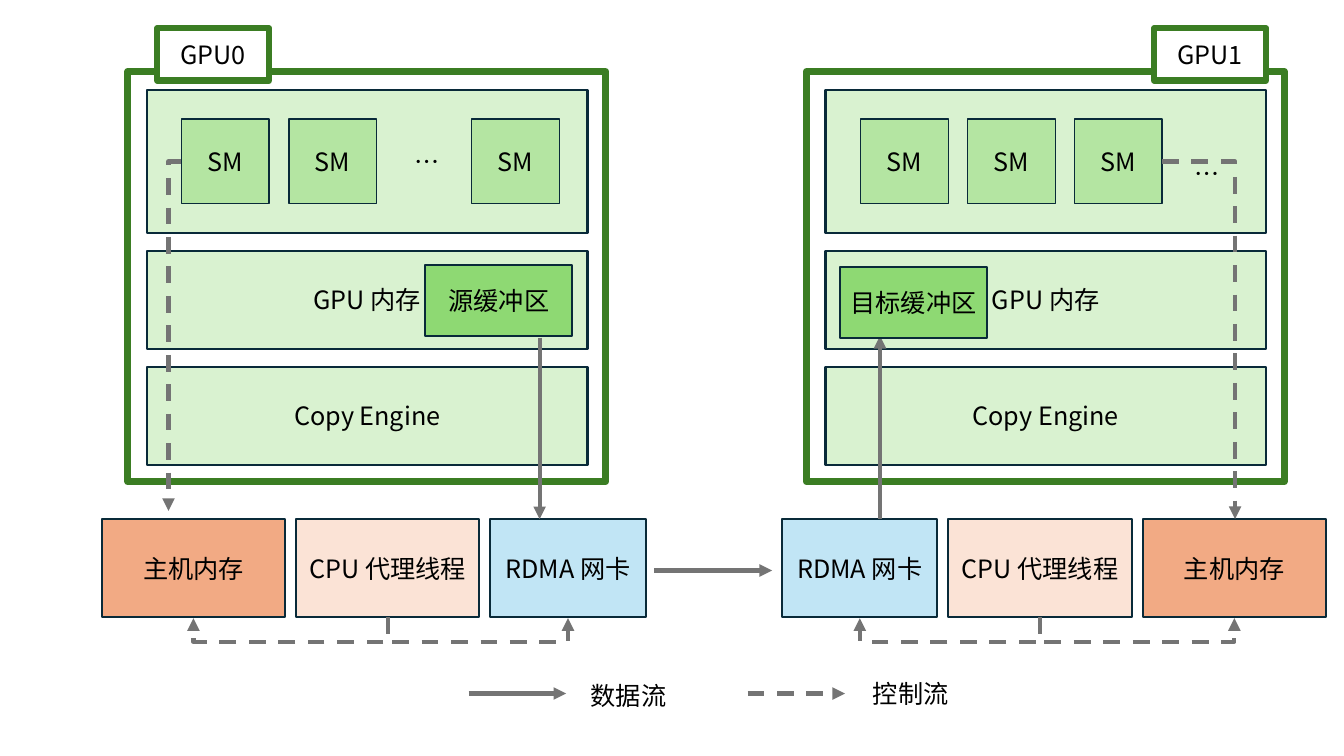
from lxml import etree
from pptx import Presentation
from pptx.dml.color import RGBColor
from pptx.enum.dml import MSO_LINE
from pptx.enum.shapes import MSO_CONNECTOR, MSO_SHAPE
from pptx.enum.text import MSO_ANCHOR, PP_ALIGN
from pptx.oxml.ns import qn
from pptx.util import Pt

RECT = MSO_SHAPE.RECTANGLE
STRAIGHT, ELBOW = MSO_CONNECTOR.STRAIGHT, MSO_CONNECTOR.ELBOW
DASH = MSO_LINE.DASH
MIDDLE = MSO_ANCHOR.MIDDLE
LEFT, CENTER = PP_ALIGN.LEFT, PP_ALIGN.CENTER

THEME = {
    "font": "Noto Sans CJK SC", "size": 18, "text": "000000",
    "edge": "092A39", "frame": "3B7D23", "wire": "747474",
    "tag": "FFFFFF", "panel": "D9F2D0", "sm": "B4E5A2", "buffer": "8ED973",
    "host": "F2AA84", "proxy": "FBE3D6", "card": "C1E5F5",
}

# frame left, tag left, SM lefts, (dots left, top), buffer (label, left, top)
GPUS = [
    {"name": "GPU0", "left": 91.4, "tag": 112.3, "sms": [129.6, 206.4, 337],
     "dots": (282.2, 85), "buffer": ("源缓冲区", 303.8, 189.4)},
    {"name": "GPU1", "left": 576, "tag": 824.4, "sms": [614.9, 691.2, 767.5],
     "dots": (839.5, 93.6), "buffer": ("目标缓冲区", 600, 190.8)},
]
# label, top, height
PANELS = [("", 64.1, 102.2), ("GPU 内存", 179.3, 69.8),
          ("Copy Engine", 262.1, 69.8)]
# label, width, fill
HOST = ("主机内存", 131, "host")
PROXY = ("CPU 代理线程", 131, "proxy")
CARD = ("RDMA 网卡", 110.9, "card")
ROWS = [(72.7, [HOST, PROXY, CARD]), (558.7, [CARD, PROXY, HOST])]
ROW_TOP, ROW_H, ROW_GAP = 370.8, 69.8, 7.8
# start x, y, end x, y
DATA = [(385.5, 241.2, 385.5, ROW_TOP), (467.5, 407.5, 551.5, 407.5),
        (628.6, ROW_TOP, 628.6, 240)]
CONTROL = [(129.6, 115.4, 120.4, 365), (830, 115.4, 882.2, ROW_TOP)]
# arrow left, dashed, label, label left, label top
LEGEND = [(334.8, False, "数据流", 421.9, 482.4),
          (534, True, "控制流", 623.5, 481)]

prs = Presentation()
prs.slide_width, prs.slide_height = Pt(960), Pt(540)
slide = prs.slides.add_slide(prs.slide_layouts[6])
shapes = slide.shapes


def color(key):
    return RGBColor.from_string(THEME[key])


def write(shape, text, align=CENTER, wrap=True):
    frame = shape.text_frame
    frame.text = text
    frame.word_wrap = wrap
    frame.vertical_anchor = MIDDLE
    frame.margin_left = frame.margin_right = 0
    para = frame.paragraphs[0]
    para.alignment = align
    for run in para.runs:
        font = run.font
        font.name, font.size = THEME["font"], Pt(THEME["size"])
        font.color.rgb = color("text")
        east = etree.SubElement(run._r.get_or_add_rPr(), qn("a:ea"))
        east.set("typeface", THEME["font"])


def box(x, y, w, h, text="", fill=None, edge="edge", weight=1.5):
    shape = shapes.add_shape(RECT, Pt(x), Pt(y), Pt(w), Pt(h))
    shape.shadow.inherit = False
    if fill:
        shape.fill.solid()
        shape.fill.fore_color.rgb = color(fill)
    else:
        shape.fill.background()
    shape.line.color.rgb = color(edge)
    shape.line.width = Pt(weight)
    if text:
        write(shape, text)


def label(x, y, w, h, text, align=CENTER, wrap=True):
    write(shapes.add_textbox(Pt(x), Pt(y), Pt(w), Pt(h)), text, align, wrap)


def wire(x1, y1, x2, y2, kind=STRAIGHT, dashed=False):
    line = shapes.add_connector(kind, Pt(x1), Pt(y1), Pt(x2), Pt(y2))
    line.line.color.rgb = color("wire")
    line.line.width = Pt(3)
    if dashed:
        line.line.dash_style = DASH
    tail = etree.SubElement(line.line._get_or_add_ln(), qn("a:tailEnd"))
    tail.set("type", "triangle")
    etree.SubElement(line._element.spPr, qn("a:effectLst"))
    return line


def corner(x1, y1, x2, y2):
    """Dashed arrow that goes sideways, then down."""
    line = wire(x1, y1, x2, y2, ELBOW, True)
    line._element.spPr.find(qn("a:prstGeom")).set("prst", "bentConnector2")


def loop(x1, x2, y, drop=18):
    """Dashed arrow that dips below y and comes back up at x2."""
    mid, span = (x1 + x2) / 2, abs(x2 - x1)
    top = y + 0.5 - span / 2
    line = wire(mid - 0.5, top, mid + 0.5, top + span, ELBOW, True)
    props = line._element.spPr
    turn = props.find(qn("a:xfrm"))
    turn.set("rot", str((270 if x2 > x1 else 90) * 60000))
    if x2 > x1:
        turn.set("flipH", "1")
    shape = props.find(qn("a:prstGeom"))
    guides = shape.find(qn("a:avLst"))
    if guides is None:
        guides = etree.SubElement(shape, qn("a:avLst"))
    guide = etree.SubElement(guides, qn("a:gd"))
    guide.set("name", "adj1")
    guide.set("fmla", f"val {drop * 100000}")


for gpu in GPUS:
    box(gpu["left"], 51.1, 341.3, 293, edge="frame", weight=5)
    for text, top, height in PANELS:
        box(gpu["left"] + 13.7, top, 314.6, height, text, "panel")
    for left in gpu["sms"]:
        box(left, 85, 62.6, 60.5, "SM", "sm", weight=1)
    label(*gpu["dots"], 45.4, 60.5, "…")
    box(gpu["tag"], 20.2, 79.9, 37.4, gpu["name"], "tag", "frame", 4.5)

for left, parts in ROWS:
    mids = []
    for text, width, fill in parts:
        box(left, ROW_TOP, width, ROW_H, text, fill)
        mids.append(left + width / 2)
        left += width + ROW_GAP
    for end in (mids[0], mids[2]):
        loop(mids[1], end, ROW_TOP + ROW_H)

for ends in DATA:
    wire(*ends)
for ends in CONTROL:
    corner(*ends)
for gpu in GPUS:
    text, left, top = gpu["buffer"]
    box(left, top, 105.1, 50.4, text, "buffer")

for left, dashed, text, text_left, top in LEGEND:
    wire(left, 495.4, left + 69.6, 495.4, dashed=dashed)
    label(text_left, top, 54, 28.8, text, LEFT, False)

prs.save("out.pptx")
